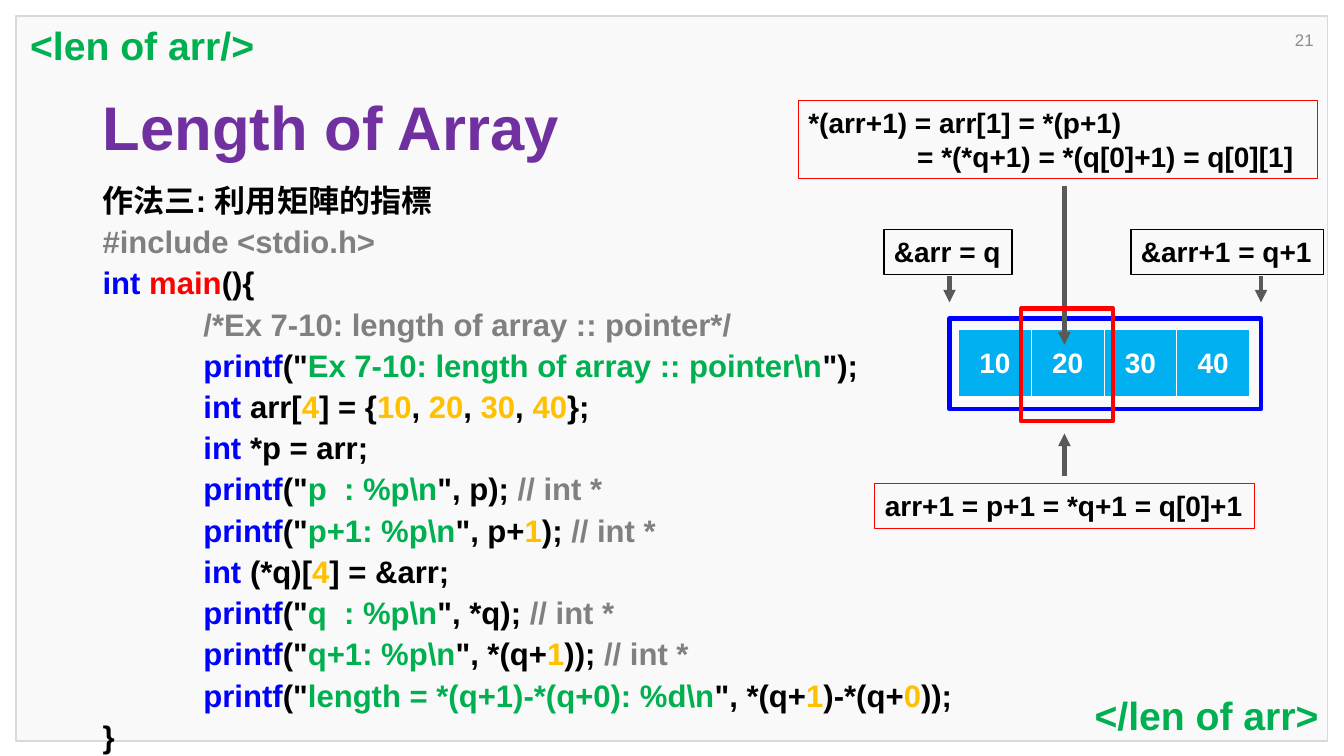
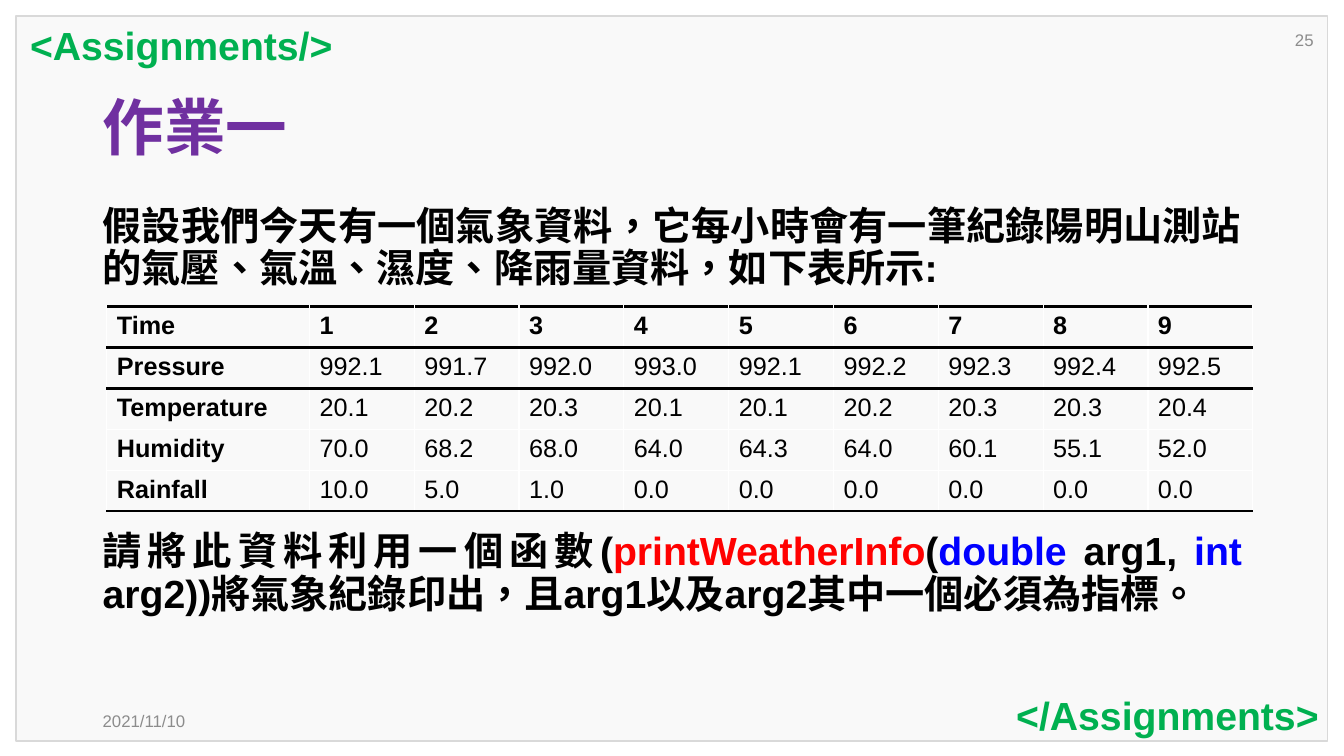
from dataclasses import dataclass
from lxml.etree import SubElement
from pptx import Presentation
from pptx.dml.color import RGBColor
from pptx.enum.shapes import MSO_CONNECTOR, MSO_SHAPE
from pptx.enum.text import MSO_ANCHOR, PP_ALIGN
from pptx.oxml.ns import qn
from pptx.util import Inches, Pt


@dataclass(frozen=True)
class Theme:
    font: str = "Arial"
    panel: str = "F9F9F9"
    panel_line: str = "D9D9D9"
    muted: str = "8C8C8C"
    title: str = "7030A0"
    tag: str = "00B050"
    text: str = "000000"
    white: str = "FFFFFF"
    red: str = "FF0000"
    blue: str = "0000FF"
    cell: str = "00B0F0"
    arrow: str = "595959"
    title_size: float = 44
    body_size: float = 28
    code_size: float = 22.2
    label_size: float = 20
    table_size: float = 18
    small_size: float = 12


T = Theme()
# Highlight keys: keyword, function, string, number, comment
SYNTAX = {"k": T.blue, "f": T.red, "s": T.tag, "n": "FFC000", "c": "808080"}
LEFT = 9.2  # left margin, in grid columns

CODE_HEAD = ["作法三: 利用矩陣的指標", "c~#include <stdio.h>", "k~int |f~main|(){"]
CODE_BODY = [
    "c~/*Ex 7-10: length of array :: pointer*/",
    r'k~printf|("|s~Ex 7-10: length of array :: pointer\n|");',
    "k~int |arr[|n~4|] = {|n~10|, |n~20|, |n~30|, |n~40|};",
    "k~int| *p = arr;",
    r'k~printf|("|s~p  : %p\n|", p); |c~// int *',
    r'k~printf|("|s~p+1: %p\n|", p+|n~1|); |c~// int *',
    "k~int| (*q)[|n~4|] = &arr;",
    r'k~printf|("|s~q  : %p\n|", *q); |c~// int *',
    r'k~printf|("|s~q+1: %p\n|", *(q+|n~1|)); |c~// int *',
    r'k~printf|("|s~length = *(q+1)-*(q+0): %d\n|", *(q+|n~1|)-*(q+|n~0|));',
]
TASK_INTRO = ("假設我們今天有一個氣象資料，它每小時會有一筆紀錄陽明山測站"
              "的氣壓、氣溫、濕度、降雨量資料，如下表所示:")
TASK = ("請將此資料利用一個函數(|f~printWeatherInfo|(|k~double| arg1, |k~int |"
        "arg2))將氣象紀錄印出，且arg1以及arg2其中一個必須為指標。")
WEATHER = [
    ["Time", *range(1, 10)],
    ["Pressure", 992.1, 991.7, 992.0, 993.0, 992.1, 992.2, 992.3, 992.4, 992.5],
    ["Temperature", 20.1, 20.2, 20.3, 20.1, 20.1, 20.2, 20.3, 20.3, 20.4],
    ["Humidity", 70.0, 68.2, 68.0, 64.0, 64.3, 64.0, 60.1, 55.1, 52.0],
    ["Rainfall", 10.0, 5.0, 1.0, 0.0, 0.0, 0.0, 0.0, 0.0, 0.0],
]


def grid(*cells):
    """Grid of 133.3 columns by 75 rows, each a tenth of an inch."""
    return [Inches(n / 10) for n in cells]


def rgb(value):
    return RGBColor.from_string(value)


# Text
def write(p, text, size, color=T.text, bold=True, align=None, spacing=None,
          before=None, indent=0):
    """Fill a paragraph; '|' splits runs and 'key~' picks a highlight."""
    p.alignment, p.line_spacing = align, spacing
    if before is not None:
        p.space_before = Pt(before)
    if indent:
        p._p.get_or_add_pPr().set("marL", str(grid(indent)[0]))
    for part in text.split("|"):
        key, mark, rest = part.partition("~")
        r = p.add_run()
        r.text = rest if mark else part
        r.font.name, r.font.size, r.font.bold = T.font, Pt(size), bold
        r.font.color.rgb = rgb(SYNTAX[key] if mark else color)
        rPr = r._r.get_or_add_rPr()
        rPr.set("lang", "zh-TW")
        SubElement(rPr, qn("a:ea")).set("typeface", T.font)


def add_lines(tf, lines):
    """Each line is a text and a dict of its format."""
    for i, (text, fmt) in enumerate(lines):
        write(tf.add_paragraph() if i else tf.paragraphs[0], text, **fmt)


def add_text(slide, box, lines, wrap=True, anchor=MSO_ANCHOR.TOP):
    tf = slide.shapes.add_textbox(*grid(*box)).text_frame
    tf.word_wrap, tf.vertical_anchor = wrap, anchor
    add_lines(tf, lines)


# Shapes
def add_rect(slide, box, line, width, fill=None, lines=()):
    sp = slide.shapes.add_shape(MSO_SHAPE.RECTANGLE, *grid(*box))
    sp.shadow.inherit = False
    if fill:
        sp.fill.solid()
        sp.fill.fore_color.rgb = rgb(fill)
    else:
        sp.fill.background()
    sp.line.color.rgb, sp.line.width = rgb(line), Pt(width)
    if lines:
        tf = sp.text_frame
        tf.word_wrap, tf.vertical_anchor = False, MSO_ANCHOR.TOP
        add_lines(tf, lines)


def add_label(slide, box, *texts, line=T.red):
    add_rect(slide, box, line, 0.75, lines=[
        (text, dict(size=T.label_size, align=PP_ALIGN.LEFT, indent=10.8 * i))
        for i, text in enumerate(texts)])


def add_arrow(slide, x, start, end):
    cn = slide.shapes.add_connector(MSO_CONNECTOR.STRAIGHT,
                                    *grid(x, start, x, end))
    cn.line.color.rgb, cn.line.width = rgb(T.arrow), Pt(3)
    SubElement(cn.line._get_or_add_ln(), qn("a:tailEnd")).set("type", "triangle")
    SubElement(cn._element.spPr, qn("a:effectLst"))


# Tables
def set_borders(cell, **sides):
    tcPr = cell._tc.get_or_add_tcPr()
    for side in "LRTB":
        color, width = sides.get(side, (T.white, 1))
        ln = SubElement(tcPr, qn("a:ln" + side), w=str(Pt(width)))
        fill = SubElement(ln, qn("a:solidFill"))
        SubElement(fill, qn("a:srgbClr")).set("val", color)


def add_table(slide, left, top, widths, height, rows):
    shape = slide.shapes.add_table(
        len(rows), len(widths),
        *grid(left, top, sum(widths), height * len(rows)))
    table = shape.table
    for column, width in zip(table.columns, widths):
        column.width = grid(width)[0]
    for row in table.rows:
        row.height = grid(height)[0]
    return table


def add_array(slide, left, top, width, height, values):
    table = add_table(slide, left, top, [width] * len(values), height, [values])
    for cell, value in zip(table.rows[0].cells, values):
        set_borders(cell, B=(T.white, 3))
        cell.fill.solid()
        cell.fill.fore_color.rgb = rgb(T.cell)
        cell.vertical_anchor = MSO_ANCHOR.MIDDLE
        write(cell.text_frame.paragraphs[0], str(value), T.label_size,
              color=T.white, align=PP_ALIGN.CENTER)


def add_records(slide, left, top, rows, ruled):
    """Plain table with black rules at the row edges listed in ruled."""
    widths = [20.1] + [10.4] * (len(rows[0]) - 1)
    table = add_table(slide, left, top, widths, 4.06, rows)
    rule = lambda edge: (T.text, 2.25) if edge in ruled else (T.white, 1)
    for i, row in enumerate(rows):
        for j, value in enumerate(row):
            cell = table.cell(i, j)
            set_borders(cell, T=rule(i), B=rule(i + 1))
            cell.fill.background()
            write(cell.text_frame.paragraphs[0], str(value), T.table_size,
                  bold=i == 0 or j == 0)


# Shared slide frame: panel, number, title, opening and closing tags
def add_frame(prs, number, title, tag, tag_width):
    slide = prs.slides.add_slide(prs.slide_layouts[6])
    add_rect(slide, (1.6, 1.6, 130.1, 71.9), T.panel_line, 1, fill=T.panel)
    add_small(slide, (127.1, 2, 4.2, 4), number, PP_ALIGN.RIGHT)
    add_text(slide, (LEFT, 7.4, 107.4, 11.1),
             [(title, dict(size=T.title_size, color=T.title, spacing=0.9))],
             anchor=MSO_ANCHOR.MIDDLE)
    for text, left, top, align in (
            (f"<{tag}/>", 2, 1.6, PP_ALIGN.LEFT),
            (f"</{tag}>", 131.8 - tag_width, 68.1, PP_ALIGN.RIGHT)):
        add_text(slide, (left, top, tag_width, 5.7),
                 [(text, dict(size=T.body_size, color=T.tag, align=align))],
                 wrap=False)
    return slide


def add_small(slide, box, text, align=PP_ALIGN.LEFT):
    add_text(slide, box, [(text, dict(size=T.small_size, color=T.muted,
                                      bold=False, align=align))],
             anchor=MSO_ANCHOR.MIDDLE)


def build_array_slide(prs):
    slide = add_frame(prs, "21", "Length of Array", "len of arr", 24.5)
    fmt = dict(size=T.code_size, spacing=0.7, before=10.8)
    inner = dict(fmt, indent=10)
    add_text(slide, (LEFT, 18.5, 122.6, 56.5),
             [(s, fmt) for s in CODE_HEAD] + [(s, inner) for s in CODE_BODY]
             + [("}", fmt)])

    # Array with its outline, labels and pointers
    start, span, second = 94.2, 30.9, 105.6
    add_array(slide, 95.1, 32.7, 7.22, 6.8, [10, 20, 30, 40])
    add_rect(slide, (start, 31.6, span, 9), T.blue, 3)
    add_label(slide, (87.7, 22.8, 12.7, 4.4), "&arr = q", line=T.text)
    add_label(slide, (112.2, 22.8, 19.1, 4.4), "&arr+1 = q+1", line=T.text)
    for x in (start, start + span):
        add_arrow(slide, x, 27.4, 30)
    add_label(slide, (79.2, 10, 51.5, 7.7), "*(arr+1) = arr[1] = *(p+1)",
              "= *(*q+1) = *(q[0]+1) = q[0][1]")
    add_arrow(slide, second, 18.5, 34.2)
    add_rect(slide, (101.3, 30.6, 9.1, 11.2), T.red, 3)
    add_arrow(slide, second, 47.2, 43)
    add_label(slide, (86.8, 48, 37.7, 4.4), "arr+1 = p+1 = *q+1 = q[0]+1")


def build_assignment_slide(prs):
    slide = add_frame(prs, "25", "作業一", "Assignments", 32.4)
    add_small(slide, (LEFT, 69.5, 10.6, 4), "2021/11/10")
    fmt = dict(size=T.body_size, align=PP_ALIGN.JUSTIFY, spacing=0.9)
    add_text(slide, (LEFT, 20, 115, 47.6),
             [(TASK_INTRO, dict(fmt, before=10)), (TASK, dict(fmt, before=172))])
    add_records(slide, 10.6, 30.4, WEATHER, ruled=(0, 1, 2, 5))


def main():
    prs = Presentation()
    prs.slide_width, prs.slide_height = grid(133.33, 75)
    build_array_slide(prs)
    build_assignment_slide(prs)
    prs.save("out.pptx")


main()
